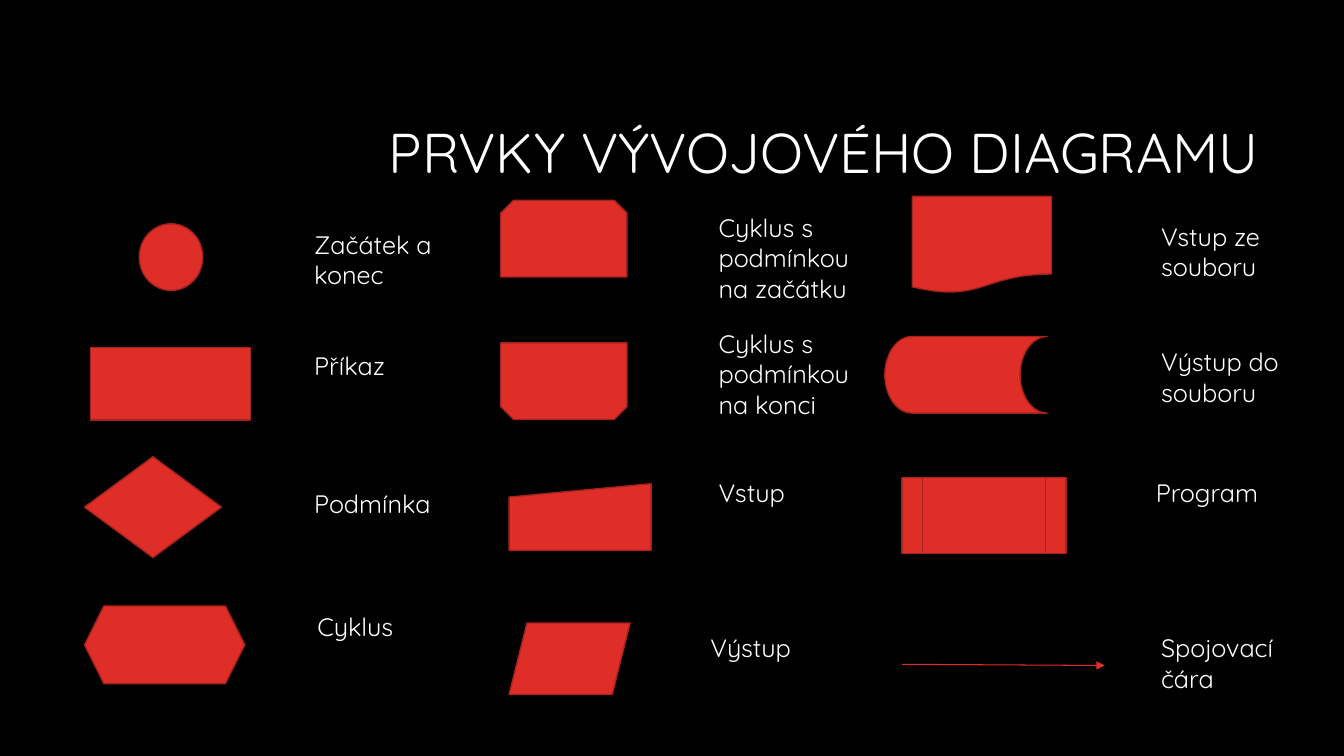
from collections import namedtuple

from lxml import etree
from pptx import Presentation
from pptx.dml.color import RGBColor
from pptx.enum.shapes import MSO_CONNECTOR as Connector, MSO_SHAPE as Preset
from pptx.enum.text import MSO_ANCHOR as Anchor, MSO_AUTO_SIZE as AutoSize, PP_ALIGN as Align
from pptx.oxml.ns import qn
from pptx.util import Cm, Pt

BLACK, WHITE, RED, DARK_RED = "000000", "FFFFFF", "DF2E28", "A5221E"
FONT = "Quicksand"
LABEL_WIDTH = 4.01

Box = namedtuple("Box", "left top width height")
# Symbol and label places are offsets in cm from the corner of their column.
Label = namedtuple("Label", "text left top lines width", defaults=(1, LABEL_WIDTH))
Symbol = namedtuple("Symbol", "preset box label rotation", defaults=(0,))

TITLE_BOX = Box(8.05, 2.13, 23.93, 3.58)
COLUMN_TOP = 4.95
ARROW = "arrow"

COLUMNS = {
    2.13: [
        Symbol(Preset.OVAL, Box(1.38, 0.69, 1.6, 1.68), Label("Začátek a konec", 5.54, 0.71, 2)),
        Symbol(Preset.RECTANGLE, Box(0.15, 3.81, 4.04, 1.83), Label("Příkaz", 5.54, 3.76)),
        Symbol(Preset.FLOWCHART_DECISION, Box(0, 6.56, 3.45, 2.54), Label("Podmínka", 5.54, 7.24)),
        Symbol(Preset.HEXAGON, Box(0, 10.32, 4.04, 1.96), Label("Cyklus", 5.62, 10.32)),
    ],
    12.62: [
        Symbol(Preset.SNIP_2_SAME_RECTANGLE, Box(0, 0.1, 3.18, 1.93),
               Label("Cyklus s podmínkou na začátku", 5.24, 0.28, 3, 4.7)),
        Symbol(Preset.SNIP_2_SAME_RECTANGLE, Box(0, 3.69, 3.18, 1.93),
               Label("Cyklus s podmínkou na konci", 5.24, 3.2, 3, 4.09), 180),
        Symbol(Preset.FLOWCHART_MANUAL_INPUT, Box(0.21, 7.24, 3.58, 1.68),
               Label("Vstup", 5.24, 6.94)),
        Symbol(Preset.PARALLELOGRAM, Box(0.21, 10.75, 3.05, 1.8), Label("Výstup", 5.03, 10.87)),
    ],
    22.3: [
        Symbol(Preset.FLOWCHART_DOCUMENT, Box(0.69, 0, 3.51, 2.44),
               Label("Vstup ze souboru", 6.71, 0.49, 2)),
        Symbol(Preset.FLOWCHART_STORED_DATA, Box(0, 3.53, 4.09, 1.93),
               Label("Výstup do souboru", 6.71, 3.66, 2)),
        Symbol(Preset.FLOWCHART_PREDEFINED_PROCESS, Box(0.43, 7.09, 4.14, 1.91),
               Label("Program", 6.58, 6.94)),
        Symbol(ARROW, Box(0.43, 11.79, 5.11, 0.03), Label("Spojovací čára", 6.71, 10.87, 2)),
    ],
}


def paint(color_format, hex_color):
    color_format.rgb = RGBColor.from_string(hex_color)


def set_all(target, values):
    for name, value in values.items():
        setattr(target, name, value)


def lengths(box):
    return [Cm(value) for value in box]


def write(frame, text, size):
    para = frame.paragraphs[0]
    span = para.add_run()
    span.text = text
    set_all(span.font, {"name": FONT, "size": Pt(size)})
    paint(span.font.color, WHITE)
    return para


def add_title(page, box):
    title = page.shapes.title
    set_all(title, dict(zip(Box._fields, lengths(box))))
    set_all(title.text_frame, {"vertical_anchor": Anchor.MIDDLE, "word_wrap": True})
    para = write(title.text_frame, "PRVKY VÝVOJOVÉHO DIAGRAMU", 40)
    set_all(para, {"alignment": Align.RIGHT, "line_spacing": 0.9})


def add_arrow(page, box):
    left, top, width, height = lengths(box)
    arrow = page.shapes.add_connector(Connector.STRAIGHT, left, top, left + width, top + height)
    arrow.line.width = Pt(0.75)
    paint(arrow.line.color, RED)
    etree.SubElement(arrow.line._get_or_add_ln(), qn("a:tailEnd"), type="triangle")
    etree.SubElement(arrow._element.spPr, qn("a:effectLst"))


def add_block(page, preset, box, rotation):
    block = page.shapes.add_shape(preset, *lengths(box))
    block.rotation = rotation
    block.shadow.inherit = False
    block.fill.solid()
    paint(block.fill.fore_color, RED)
    block.line.width = Pt(1)
    paint(block.line.color, DARK_RED)


def add_label(page, text, box):
    frame = page.shapes.add_textbox(*lengths(box)).text_frame
    set_all(frame, {"word_wrap": True, "auto_size": AutoSize.SHAPE_TO_FIT_TEXT})
    write(frame, text, 18)


def add_column(page, left, top, symbols):
    """Draw each symbol and its label from the column's top left corner."""
    for preset, offset, label, rotation in symbols:
        box = Box(left + offset.left, top + offset.top, offset.width, offset.height)
        if preset == ARROW:
            add_arrow(page, box)
        else:
            add_block(page, preset, box, rotation)
        height = 0.24 + 0.775 * label.lines
        add_label(page, label.text, Box(left + label.left, top + label.top, label.width, height))


def add_symbols_page(deck):
    page = deck.slides.add_slide(deck.slide_layouts[5])
    page.background.fill.solid()
    paint(page.background.fill.fore_color, BLACK)
    add_title(page, TITLE_BOX)
    for left, symbols in COLUMNS.items():
        add_column(page, left, COLUMN_TOP, symbols)


def main():
    deck = Presentation()
    set_all(deck, {"slide_width": Cm(33.87), "slide_height": Cm(19.05)})
    add_symbols_page(deck)
    deck.save("out.pptx")


if __name__ == "__main__":
    main()
